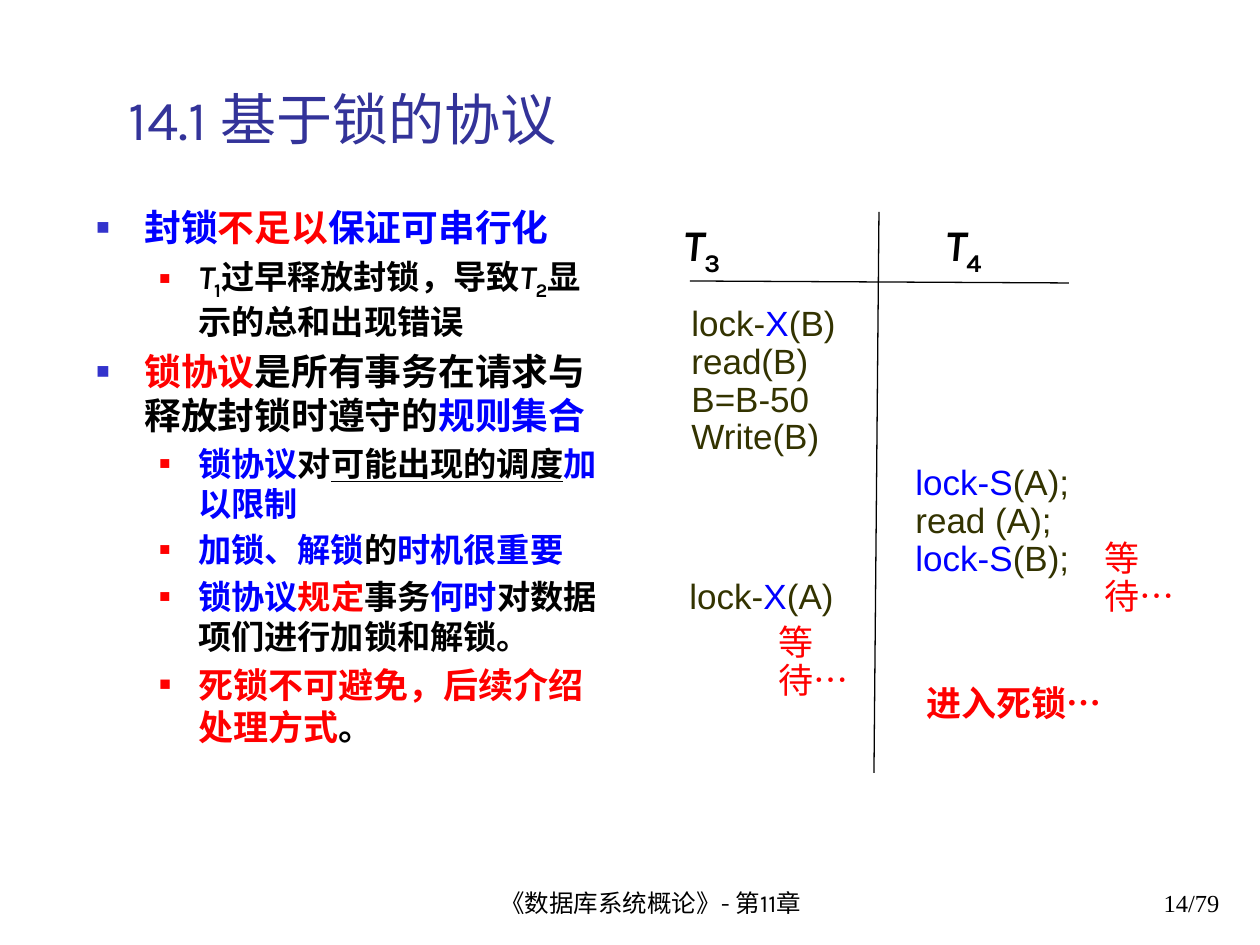
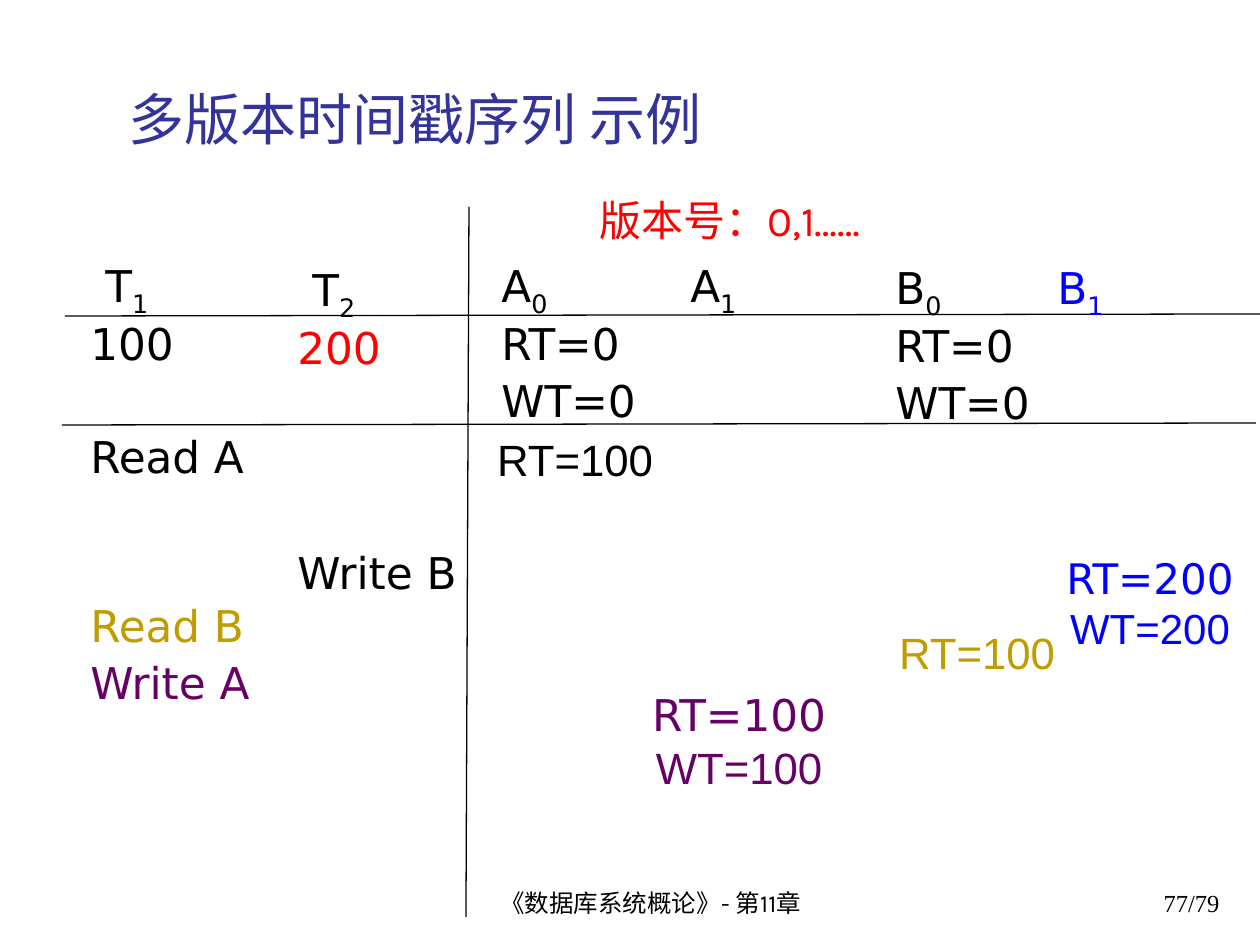
import pptx
import pptx.dml.color
import pptx.enum.shapes
import pptx.enum.text
import pptx.oxml.ns
import pptx.util
from lxml import etree

# Shared style
PX_PER_INCH = 126
BLACK, RED, BLUE = "000000", "FF0000", "0000FF"
INDIGO, OLIVE, GOLD, PURPLE = "333399", "333300", "C09C00", "660066"
KARLA, ARIAL, DEJAVU, TIMES = "Karla", "Arial", "DejaVu Sans", "Times New Roman"
TITLE_BOX = (116, 53, 1116, 105)
FOOTER_BOX = (451, 861, 399, 63)
NUMBER_BOX = (970, 861, 262, 63)
FOOTER = "《数据库系统概论》- 第11章"
PAGE_COUNT = 79
ROW_GAP, ROW_PITCH = 5.7, 31.9  # points, rows of the version table

# Run formats
AS_BLUE, AS_RED = {"color": BLUE}, {"color": RED}
ITALIC, SUB = {"italic": True}, {"sub": True}

# Slide 1: rules about locks, as (level, size, runs)
LOCK_RULES = [
    (0, 21, [("封锁", AS_BLUE), ("不足以", AS_RED), ("保证可串行化", AS_BLUE)]),
    (1, 19, [("T", ITALIC), ("1", SUB), "过早释放封锁，导致", ("T", ITALIC), ("2", SUB),
             "显示的总和出现错误"]),
    (0, 21, [("锁协议", AS_RED), "是所有事务在请求与释放封锁时遵守的", ("规则集合", AS_BLUE)]),
    (1, 19, [("锁协议", AS_BLUE), "对", ("可能出现的调度", {"underline": True}),
             ("加以限制", AS_BLUE)]),
    (1, 19, [("加锁、解锁", AS_BLUE), "的", ("时机很重要", AS_BLUE)]),
    (1, 19, [("锁协议", AS_BLUE), ("规定", AS_RED), "事务", ("何时", AS_BLUE),
             "对数据项们进行加锁和解锁。"]),
    (1, 20, [("死锁不可避免，后续介绍处理方式", AS_RED), "。"]),
]
RULES_BOX = (84, 199, 527, 645)
LEVELS = [  # left margin px, hanging px, bullet colour, bullet size
    (48, 48, "3333CC", 60),
    (102, 39, RED, 55),
]
SCHEDULE_HEADING = [("T", ITALIC), ("3\t", SUB), ("T", ITALIC), ("4", SUB)]
SCHEDULE_HEADING_BOX = (671, 212, 545, 70)
SCHEDULE_TAB = 262
SCHEDULE_STEPS = [  # box, paragraphs
    ((679, 300, 180, 212), [["lock-", ("X", AS_BLUE), "(B)"], ["read(B)"], ["B=B-50"],
                            ["Write(B)"]]),
    ((903, 459, 193, 127), [[("lock-S", AS_BLUE), "(A);"], ["read (A);"],
                            [("lock-S", AS_BLUE), "(B);"]]),
    ((677, 573, 206, 50), [["lock-", ("X", AS_BLUE), "(A)"]]),
]
SCHEDULE_NOTES = [  # box, text, bold
    ((1092, 535, 128, 50), "等待…", False),
    ((766, 619, 128, 50), "等待…", False),
    ((914, 680, 210, 50), "进入死锁…", True),
]
SCHEDULE_LINES = [(879, 212, 874, 773), (690, 281, 1069, 283)]

# Slide 2: columns as (box, heading indent, letter, index, heading colour,
# entries), entries as (blank rows above, text, colour)
INITIAL_STAMPS = [(0, "RT=0", BLACK), (0, "WT=0", BLACK)]
VERSION_COLUMNS = [
    ((78, 253, 194, 692), 15, "T", "1", BLACK,
     [(0, "100", BLACK), (1, "Read A", BLACK), (2, "Read B", GOLD), (0, "Write A", PURPLE)]),
    ((285, 257, 194, 688), 15, "T", "2", BLACK, [(0, "200", RED), (3, "Write B", BLACK)]),
    ((489, 253, 209, 692), 0, "A", "0", BLACK, INITIAL_STAMPS),
    ((678, 253, 215, 692), 0, "A", "1", BLACK, []),
    ((883, 255, 207, 690), 0, "B", "0", BLACK, INITIAL_STAMPS),
    ((1045, 255, 215, 690), 0, "B", "1", BLUE, []),
]
STAMP_UPDATES = [  # box, texts with fonts, size, colour, line spacing
    ((466, 433, 218, 66), [("RT=100", ARIAL)], 25, BLACK, 0.9),
    ((1041, 546, 218, 115), [("RT=200", DEJAVU), ("WT=200", ARIAL)], 24, BLUE, 1),
    ((868, 626, 218, 60), [("RT=100", ARIAL)], 25, GOLD, 0.9),
    ((630, 682, 218, 118), [("RT=100", DEJAVU), ("WT=100", ARIAL)], 25, PURPLE, 1),
]
VERSION_NOTE, VERSION_NOTE_BOX = "版本号：0,1……", (587, 194, 328, 58)
VERSION_LINES = [(65, 316, 1260, 314), (62, 425, 1256, 423), (469, 207, 466, 917)]


def emu(px):
    return pptx.util.Emu(round(px * 914400 / PX_PER_INCH))


def rgb(color):
    return pptx.dml.color.RGBColor.from_string(color)


def add_element(parent, tag, **attributes):
    element = etree.SubElement(parent, pptx.oxml.ns.qn(tag))
    for name, value in attributes.items():
        element.set(name, str(value))
    return element


def format_paragraph(paragraph, align="LEFT", spacing=1, before=0, level=None,
                     margin=0, tab=None):
    properties = paragraph._p.get_or_add_pPr()
    if level is not None:
        margin, hanging, color, percent = LEVELS[level]
        paragraph.level = level
        properties.set("indent", str(-emu(hanging)))
        add_element(add_element(properties, "a:buClr"), "a:srgbClr", val=color)
        add_element(properties, "a:buSzPct", val=percent * 1000)
        add_element(properties, "a:buFont", typeface=ARIAL)
        add_element(properties, "a:buChar", char="■")
    if margin:
        properties.set("marL", str(emu(margin)))
    if tab:
        add_element(add_element(properties, "a:tabLst"), "a:tab", pos=emu(tab), algn="l")
    paragraph.alignment = getattr(pptx.enum.text.PP_ALIGN, align)
    paragraph.line_spacing = spacing
    paragraph.space_before = pptx.util.Pt(before)


def add_run(paragraph, text, font=KARLA, size=20, color=BLACK, bold=False,
            italic=False, underline=False, sub=False):
    run = paragraph.add_run()
    run.text = text
    run.font.name = font
    run.font.size = pptx.util.Pt(size)
    run.font.color.rgb = rgb(color)
    run.font.bold, run.font.italic, run.font.underline = bold, italic, underline
    if sub:
        run._r.get_or_add_rPr().set("baseline", "-25000")


def write_text(shape, box, paragraphs, anchor="TOP", layout=None, **run_format):
    """Fill a shape; each paragraph is a run list or a (run list, layout, format) tuple."""
    shape.left, shape.top, shape.width, shape.height = map(emu, box)
    frame = shape.text_frame
    frame.word_wrap = True
    frame.auto_size = pptx.enum.text.MSO_AUTO_SIZE.NONE
    frame.vertical_anchor = getattr(pptx.enum.text.MSO_ANCHOR, anchor)
    for index, entry in enumerate(paragraphs):
        runs, own_layout, own_format = entry if isinstance(entry, tuple) else (entry, {}, {})
        paragraph = frame.add_paragraph() if index else frame.paragraphs[0]
        format_paragraph(paragraph, **{**(layout or {}), **own_layout})
        for run in runs:
            text, changes = run if isinstance(run, tuple) else (run, {})
            add_run(paragraph, text, **{**run_format, **own_format, **changes})


def add_text(slide, box, paragraphs, **text_format):
    write_text(slide.shapes.add_textbox(0, 0, 0, 0), box, paragraphs, **text_format)


def add_lines(slide, lines):
    for ends in lines:
        line = slide.shapes.add_connector(
            pptx.enum.shapes.MSO_CONNECTOR.STRAIGHT, *map(emu, ends))
        line.line.color.rgb = rgb(BLACK)
        line.line.width = pptx.util.Pt(0.75)
        add_element(line._element.spPr, "a:effectLst")


def add_slide(presentation, title, number):
    slide = presentation.slides.add_slide(presentation.slide_layouts[5])
    write_text(slide.shapes.title, TITLE_BOX, [[title]], anchor="BOTTOM", size=32, color=INDIGO)
    add_text(slide, FOOTER_BOX, [[FOOTER]], anchor="BOTTOM", layout={"align": "CENTER"}, size=14)
    add_text(slide, NUMBER_BOX, [[f"{number}/{PAGE_COUNT}"]], anchor="BOTTOM",
             layout={"align": "RIGHT"}, font=TIMES, size=14)
    return slide


def build_lock_slide(presentation):
    slide = add_slide(presentation, "14.1 基于锁的协议", 14)
    rules = [(runs, {"level": level, "before": 0.2 * size if index else 0}, {"size": size})
             for index, (level, size, runs) in enumerate(LOCK_RULES)]
    add_text(slide, RULES_BOX, rules, bold=True)
    # Schedule of the two transactions
    add_text(slide, SCHEDULE_HEADING_BOX, [SCHEDULE_HEADING], layout={"tab": SCHEDULE_TAB},
             size=25, bold=True)
    add_lines(slide, SCHEDULE_LINES)
    tight = {"spacing": 0.9}
    for box, steps in SCHEDULE_STEPS:
        add_text(slide, box, steps, layout=tight, font=ARIAL, color=OLIVE)
    for box, note, bold in SCHEDULE_NOTES:
        add_text(slide, box, [[note]], layout=tight, color=RED, bold=bold)


def build_version_slide(presentation):
    slide = add_slide(presentation, "多版本时间戳序列 示例", 77)
    add_lines(slide, VERSION_LINES)
    # Transactions and item versions
    for box, margin, letter, index, color, entries in VERSION_COLUMNS:
        heading = ([letter, (index, SUB)], {"margin": margin}, {"color": color})
        rows = [([text], {"before": ROW_GAP + blank_rows * ROW_PITCH}, {"color": row_color})
                for blank_rows, text, row_color in entries]
        add_text(slide, box, [heading] + rows, layout={"spacing": 0.9}, font=DEJAVU, size=25)
    # Timestamps set by each operation
    for box, stamps, size, color, spacing in STAMP_UPDATES:
        add_text(slide, box, [([text], {}, {"font": font}) for text, font in stamps],
                 layout={"align": "CENTER", "spacing": spacing}, size=size, color=color)
    add_text(slide, VERSION_NOTE_BOX, [[VERSION_NOTE]], layout={"spacing": 0.9},
             size=24, color=RED)


def main():
    presentation = pptx.Presentation()
    presentation.slide_width = pptx.util.Inches(10)
    presentation.slide_height = pptx.util.Inches(7.5)
    build_lock_slide(presentation)
    build_version_slide(presentation)
    presentation.save("out.pptx")


if __name__ == "__main__":
    main()
